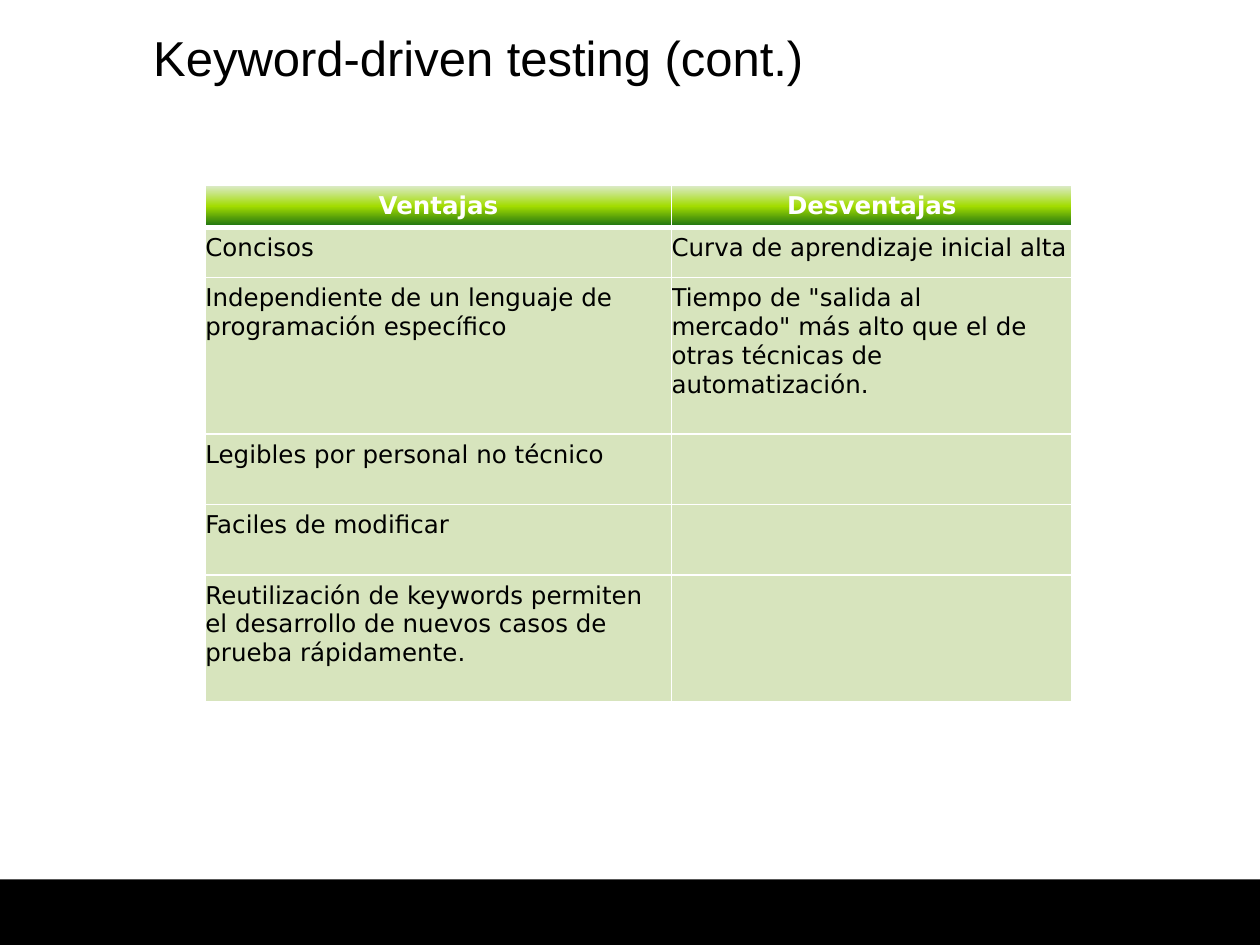
from dataclasses import dataclass
from typing import Any

from pptx import Presentation
from pptx.dml.color import RGBColor
from pptx.enum.shapes import MSO_SHAPE
from pptx.enum.text import MSO_ANCHOR, PP_ALIGN
from pptx.oxml import parse_xml
from pptx.oxml.ns import nsdecls
from pptx.util import Inches, Pt

BLACK = RGBColor(0x00, 0x00, 0x00)
WHITE = RGBColor(0xFF, 0xFF, 0xFF)
SAGE = RGBColor(0xD7, 0xE4, 0xBD)
MINT = RGBColor(0xDD, 0xEB, 0xCF)
LIME = RGBColor(0xA2, 0xDC, 0x00)
FOREST = RGBColor(0x15, 0x6B, 0x13)

TITLE = {"name": "Arial", "size": Pt(28)}
HEAD = {"name": "DejaVu Sans", "size": Pt(14), "bold": True}
BODY = {**HEAD, "bold": False}
INSET = {
    "margin_left": 0,
    "margin_right": 0,
    "margin_top": Inches(0.05),
    "margin_bottom": Inches(0.05),
    "vertical_anchor": MSO_ANCHOR.TOP,
}
FRAME = {"word_wrap": True, "vertical_anchor": MSO_ANCHOR.TOP}
BANDS = {"first_row": True, "horz_banding": False}


@dataclass
class Row:
    height: float
    pros: str
    cons: str = ""


COLS = (3.7, 3.18)
ROWS = [
    Row(0.32, "Ventajas", "Desventajas"),
    Row(0.4, "Concisos", "Curva de aprendizaje inicial alta"),
    Row(
        1.24,
        "Independiente de un lenguaje de programación específico",
        'Tiempo de "salida al\nmercado" más alto que el de otras técnicas de automatización.',
    ),
    Row(0.56, "Legibles por personal no técnico"),
    Row(0.56, "Faciles de modificar"),
    Row(
        1.01,
        "Reutilización de keywords permiten el desarrollo de nuevos casos de prueba rápidamente.",
    ),
]


def apply(item: Any, form: dict[str, Any]) -> None:
    for name, value in form.items():
        setattr(item, name, value)


def write(frame: Any, text: str, form: dict[str, Any], color: RGBColor, align: PP_ALIGN) -> None:
    frame.text = text
    for para in frame.paragraphs:
        para.alignment = align
        for run in para.runs:
            apply(run.font, form)
            run.font.color.rgb = color


def border(cell: Any, widths: dict[str, int]) -> None:
    props = cell._tc.get_or_add_tcPr()
    for spot, (side, width) in enumerate(widths.items()):
        props.insert(spot, parse_xml(
            f'<a:ln{side} {nsdecls("a")} w="{Pt(width)}"><a:solidFill>'
            f'<a:srgbClr val="{WHITE}"/></a:solidFill></a:ln{side}>'
        ))


def shade(cell: Any) -> None:
    stops = "".join(
        f'<a:gs pos="{spot * 50000}"><a:srgbClr val="{color}"/></a:gs>'
        for spot, color in enumerate((MINT, LIME, FOREST))
    )
    cell._tc.get_or_add_tcPr().append(parse_xml(
        f'<a:gradFill {nsdecls("a")}><a:gsLst>{stops}</a:gsLst>'
        '<a:lin ang="5400000" scaled="0"/></a:gradFill>'
    ))


def draw_cell(cell: Any, text: str, index: int) -> None:
    apply(cell, INSET)
    if index == 0:
        write(cell.text_frame, text, HEAD, WHITE, PP_ALIGN.CENTER)
        shade(cell)
    else:
        write(cell.text_frame, text, BODY, BLACK, PP_ALIGN.LEFT)
        cell.fill.solid()
        cell.fill.fore_color.rgb = SAGE
    border(cell, {"L": 1, "R": 1, "T": 3 if index == 1 else 1, "B": 3 if index == 0 else 1})


def draw_table(slide: Any) -> None:
    total = sum(row.height for row in ROWS)
    table = slide.shapes.add_table(
        len(ROWS), len(COLS), Inches(1.63), Inches(1.47), Inches(sum(COLS)), Inches(total)
    ).table
    apply(table, BANDS)
    for col, width in zip(table.columns, COLS):
        col.width = Inches(width)
    for index, row in enumerate(ROWS):
        table.rows[index].height = Inches(row.height)
        for col, text in enumerate((row.pros, row.cons)):
            draw_cell(table.cell(index, col), text, index)


def draw_bar(slide: Any) -> None:
    bar = slide.shapes.add_shape(
        MSO_SHAPE.RECTANGLE, 0, Inches(6.98), Inches(10), Inches(0.52)
    )
    bar.shadow.inherit = False
    bar.fill.solid()
    bar.fill.fore_color.rgb = BLACK
    bar.line.fill.background()


def draw_title(slide: Any) -> None:
    frame = slide.shapes.add_textbox(
        Inches(0.17), Inches(0.17), Inches(7.25), Inches(0.84)
    ).text_frame
    apply(frame, FRAME)
    write(frame, "Keyword-driven testing (cont.)", TITLE, BLACK, PP_ALIGN.CENTER)


def main() -> None:
    deck = Presentation()
    apply(deck, {"slide_width": Inches(10), "slide_height": Inches(7.5)})
    slide = deck.slides.add_slide(deck.slide_layouts[6])
    draw_bar(slide)
    draw_title(slide)
    draw_table(slide)
    deck.save("out.pptx")


if __name__ == "__main__":
    main()
